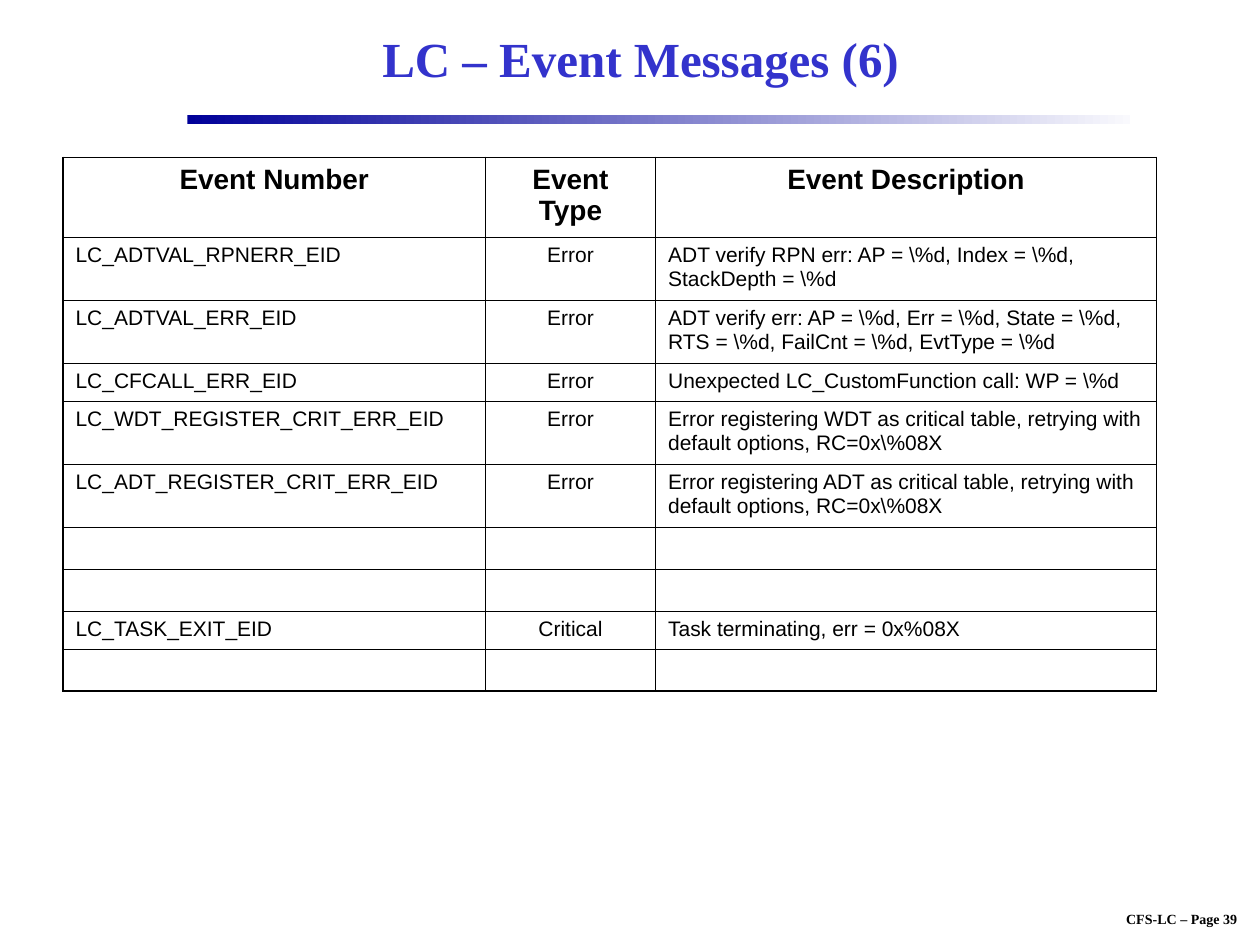
from lxml.etree import SubElement
from pptx import Presentation
from pptx.dml.color import RGBColor
from pptx.enum.shapes import MSO_SHAPE
from pptx.enum.text import MSO_ANCHOR, PP_ALIGN
from pptx.oxml.ns import qn
from pptx.util import Pt

COLORS = {
    "text": "000000",
    "title": "3333CC",
    "rule_start": "000099",
    "rule_end": "F9F9FD",
    "border": "000000",
}
INNER, OUTER = 0.45, 1.08
EMPTY = ("", "", "")
HEADER = ("Event Number", "Event Type", "Event Description")
EVENTS = [
    ("LC_ADTVAL_RPNERR_EID", "Error",
     r"ADT verify RPN err: AP = \%d, Index = \%d, StackDepth = \%d"),
    ("LC_ADTVAL_ERR_EID", "Error",
     r"ADT verify err: AP = \%d, Err = \%d, State = \%d, "
     r"RTS = \%d, FailCnt = \%d, EvtType = \%d"),
    ("LC_CFCALL_ERR_EID", "Error",
     r"Unexpected LC_CustomFunction call: WP = \%d"),
    ("LC_WDT_REGISTER_CRIT_ERR_EID", "Error",
     r"Error registering WDT as critical table, retrying with "
     r"default options, RC=0x\%08X"),
    ("LC_ADT_REGISTER_CRIT_ERR_EID", "Error",
     r"Error registering ADT as critical table, retrying with "
     r"default options, RC=0x\%08X"),
    EMPTY,
    EMPTY,
    ("LC_TASK_EXIT_EID", "Critical", "Task terminating, err = 0x%08X"),
    EMPTY,
]
COLUMN_WIDTHS = [241.4, 97.2, 286.2]
ROW_HEIGHTS = [45.6, 36, 36, 21.7, 36, 36, 24, 24, 21.7, 24]


def rgb(name):
    return RGBColor.from_string(COLORS[name])


def write(tf, text, *, size, font, color="text", bold=False,
          align=PP_ALIGN.LEFT):
    p = tf.paragraphs[0]
    p.alignment = align
    if not text:
        # The end mark's size keeps an empty row from growing.
        SubElement(p._p, qn("a:endParaRPr"), sz=str(size * 100))
        return
    r = p.add_run()
    r.text = text
    r.font.size = Pt(size)
    r.font.name = font
    r.font.bold = bold
    r.font.color.rgb = rgb(color)


def set_borders(cell, **widths):
    """Draw cell edges; keys are L, R, T and B, values are points."""
    tc_pr = cell._tc.get_or_add_tcPr()
    for side, width in widths.items():
        ln = SubElement(tc_pr, qn(f"a:ln{side}"), w=str(Pt(width)))
        fill = SubElement(ln, qn("a:solidFill"))
        SubElement(fill, qn("a:srgbClr"), val=COLORS["border"])


class SlideBuilder:
    heading_font = "Times New Roman"
    body_font = "Arial"

    def __init__(self, prs):
        self.slide = prs.slides.add_slide(prs.slide_layouts[6])

    def text(self, text, left, top, width, height, *, size, color="text",
             wrap=True, anchor=MSO_ANCHOR.TOP):
        box = self.slide.shapes.add_textbox(
            Pt(left), Pt(top), Pt(width), Pt(height))
        tf = box.text_frame
        tf.word_wrap = wrap
        tf.vertical_anchor = anchor
        write(tf, text, size=size, font=self.heading_font, color=color,
              bold=True, align=PP_ALIGN.CENTER)

    def gradient_bar(self, left, top, width, height):
        sp = self.slide.shapes.add_shape(
            MSO_SHAPE.RECTANGLE, Pt(left), Pt(top), Pt(width), Pt(height))
        sp.shadow.inherit = False
        sp.line.fill.background()
        sp.fill.gradient()
        sp.fill.gradient_angle = 0
        for stop, name in zip(sp.fill.gradient_stops,
                              ("rule_start", "rule_end")):
            stop.color.rgb = rgb(name)

    def table(self, rows, left, top, widths, heights):
        table = self.slide.shapes.add_table(
            len(rows), len(widths), Pt(left), Pt(top),
            Pt(sum(widths)), Pt(sum(heights))).table
        table.first_row = table.horz_banding = False
        for column, width in zip(table.columns, widths):
            column.width = Pt(width)
        for row, height in zip(table.rows, heights):
            row.height = Pt(height)
        last_row, last_col = len(rows) - 1, len(widths) - 1
        for i, row in enumerate(rows):
            for j, text in enumerate(row):
                cell = table.cell(i, j)
                set_borders(cell,
                            L=INNER if j else OUTER,
                            R=OUTER if j == last_col else INNER,
                            T=INNER if i else OUTER,
                            B=OUTER if i == last_row else INNER)
                cell.fill.background()
                is_header = i == 0
                centered = is_header or j == 1
                write(cell.text_frame, text, size=16 if is_header else 12,
                      font=self.body_font, bold=is_header,
                      align=PP_ALIGN.CENTER if centered else PP_ALIGN.LEFT)


def main():
    prs = Presentation()
    prs.slide_width, prs.slide_height = Pt(720), Pt(540)
    s = SlideBuilder(prs)
    s.text("CFS-LC – Page 39", 622, 517, 106.6, 16.6, size=8, wrap=False)
    s.gradient_bar(107, 66, 539, 5)
    s.text("LC – Event Messages (6)", 108, 6, 516, 54, size=28,
           color="title", anchor=MSO_ANCHOR.MIDDLE)
    s.table([HEADER, *EVENTS], 36, 90, COLUMN_WIDTHS, ROW_HEIGHTS)
    prs.save("out.pptx")


if __name__ == "__main__":
    main()
